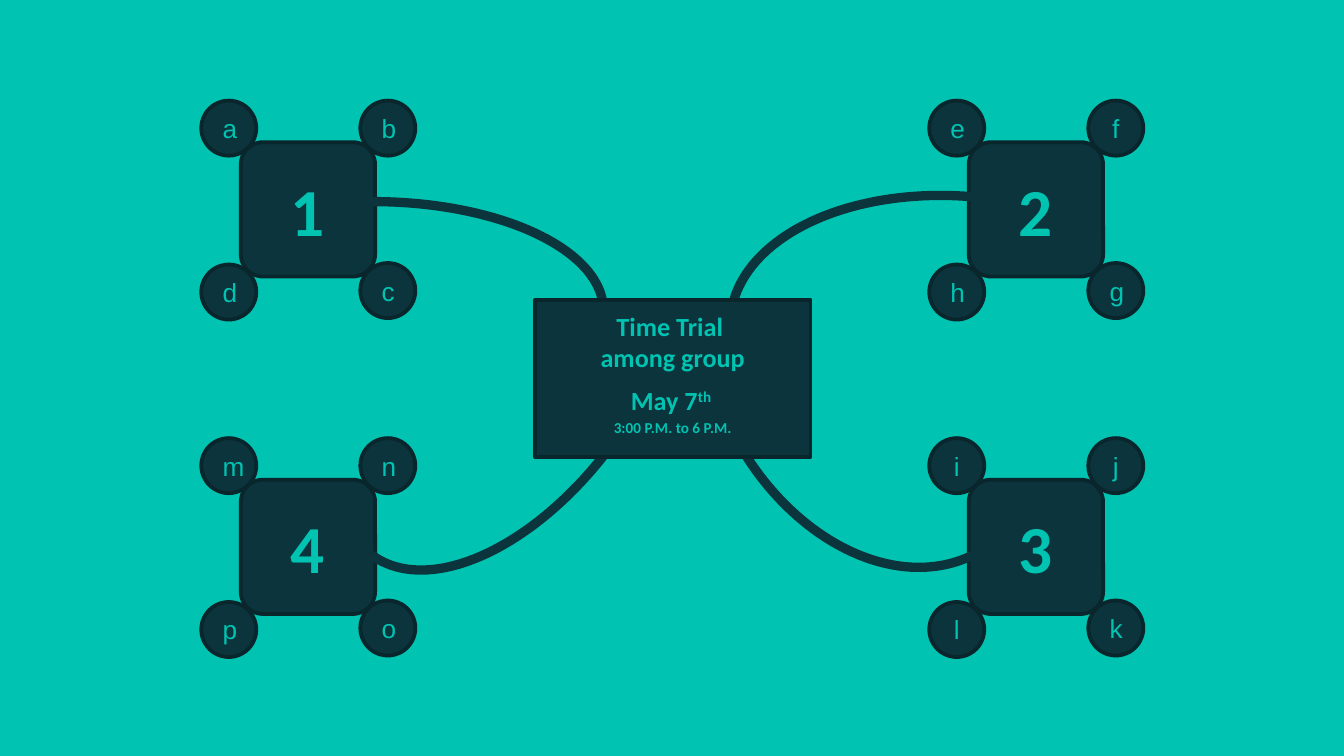
from dataclasses import dataclass

from pptx import Presentation
from pptx.dml.color import RGBColor
from pptx.enum.shapes import MSO_SHAPE
from pptx.enum.text import MSO_ANCHOR, PP_ALIGN
from pptx.util import Pt


@dataclass(frozen=True)
class Theme:
    teal: RGBColor = RGBColor.from_string("00C3B1")
    navy: RGBColor = RGBColor.from_string("0C343D")
    outline: RGBColor = RGBColor.from_string("09262D")
    curve: RGBColor = RGBColor.from_string("0B343D")
    heading: str = "Calibri"
    body: str = "Arial"
    number_size: int = 36
    text_size: int = 14
    outline_width: int = 2
    curve_width: int = 5


THEME = Theme()
GROUPS = [
    ("1", "abcd", 0, 0),
    ("2", "efgh", 1, 0),
    ("4", "mnop", 0, 1),
    ("3", "ijkl", 1, 1),
]
COLUMNS = (129, 519)
ROWS = (76.2, 257)
TABLE_SIZE = 72
SEAT_SIZE = 29.5
SEAT_OFFSETS = [(-21.2, -22.3), (64, -22.3), (64, 64.7), (-21.2, 65.5)]
CURVES = [
    (383.8, 78.5, 168.5, 231.8, 151.7),
    (439.2, 56.9, 149.8, 246.2, 274.7),
    (76.3, 108, 247, 116.6, 0),
    (148.3, 128.2, 249.1, 137.5, 126.1),
]
EVENT_BOX = (286.6, 160.6, 147.6, 84.2)
EVENT_LINES = [
    (0, [("Time Trial ", False)]),
    (0, [("among group", False)]),
    (6, [("May 7", False), ("th ", True)]),
    (0, [("3:00 P.M. to 6 P.M.", True)]),
]


def add_outlined(page, kind, bounds, color, width):
    shape = page.shapes.add_shape(kind, *map(Pt, bounds))
    shape.shadow.inherit = False
    shape.line.color.rgb = color
    shape.line.width = Pt(width)
    return shape


def add_box(page, kind, bounds):
    box = add_outlined(page, kind, bounds, THEME.outline, THEME.outline_width)
    box.fill.solid()
    box.fill.fore_color.rgb = THEME.navy
    box.text_frame.vertical_anchor = MSO_ANCHOR.MIDDLE
    return box


def style(para, size, family, bold):
    para.alignment = PP_ALIGN.CENTER
    para.font.size = Pt(size)
    para.font.name = family
    para.font.bold = bold
    para.font.color.rgb = THEME.teal


def add_label(page, kind, bounds, label, size, family, bold):
    box = add_box(page, kind, bounds)
    box.text_frame.text = label
    style(box.text_frame.paragraphs[0], size, family, bold)


def add_group(page, number, seats, column, row):
    left, top = COLUMNS[column], ROWS[row]
    add_label(page, MSO_SHAPE.ROUNDED_RECTANGLE, (left, top, TABLE_SIZE, TABLE_SIZE),
              number, THEME.number_size, THEME.heading, True)
    for seat, (across, down) in zip(seats, SEAT_OFFSETS):
        add_label(page, MSO_SHAPE.OVAL, (left + across, top + down, SEAT_SIZE, SEAT_SIZE),
                  seat, THEME.text_size, THEME.body, False)


def add_curve(page, left, top, width, height, rotation):
    curve = add_outlined(page, MSO_SHAPE.ARC, (left, top, width, height),
                         THEME.curve, THEME.curve_width)
    curve.fill.background()
    curve.rotation = rotation


def add_event(page):
    frame = add_box(page, MSO_SHAPE.RECTANGLE, EVENT_BOX).text_frame
    for index, (gap, spans) in enumerate(EVENT_LINES):
        para = frame.add_paragraph() if index else frame.paragraphs[0]
        style(para, THEME.text_size, THEME.heading, True)
        para.space_before = Pt(gap)
        for text, raised in spans:
            span = para.add_run()
            span.text = text
            if raised:
                span.font._element.set("baseline", "30000")


def main():
    """Build the time trial slide with four groups around the event."""
    deck = Presentation()
    deck.slide_width, deck.slide_height = Pt(720), Pt(405)
    page = deck.slides.add_slide(deck.slide_layouts[6])
    page.background.fill.solid()
    page.background.fill.fore_color.rgb = THEME.teal
    for group in GROUPS:
        add_group(page, *group)
    for curve in CURVES:
        add_curve(page, *curve)
    add_event(page)
    deck.save("out.pptx")


if __name__ == "__main__":
    main()
